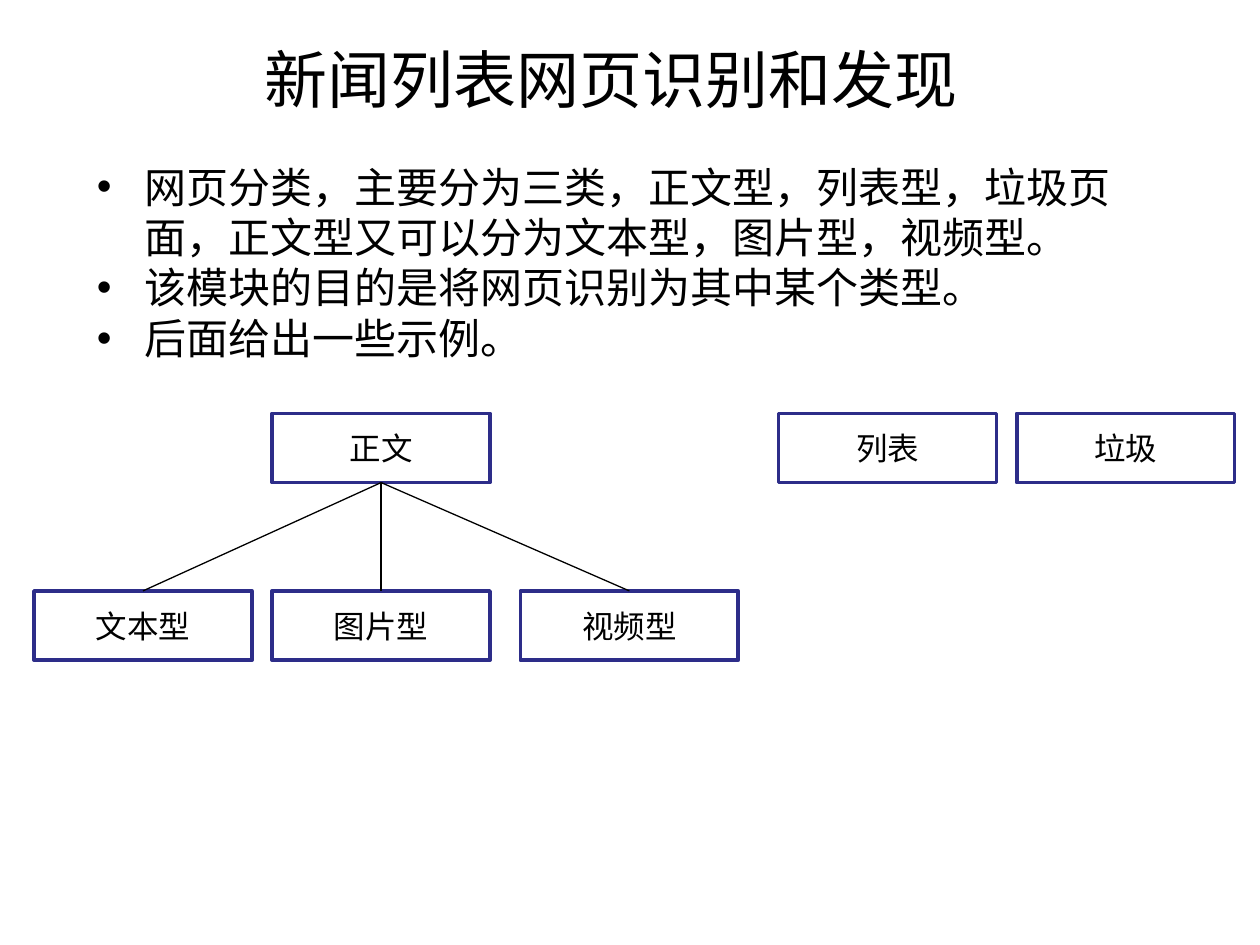
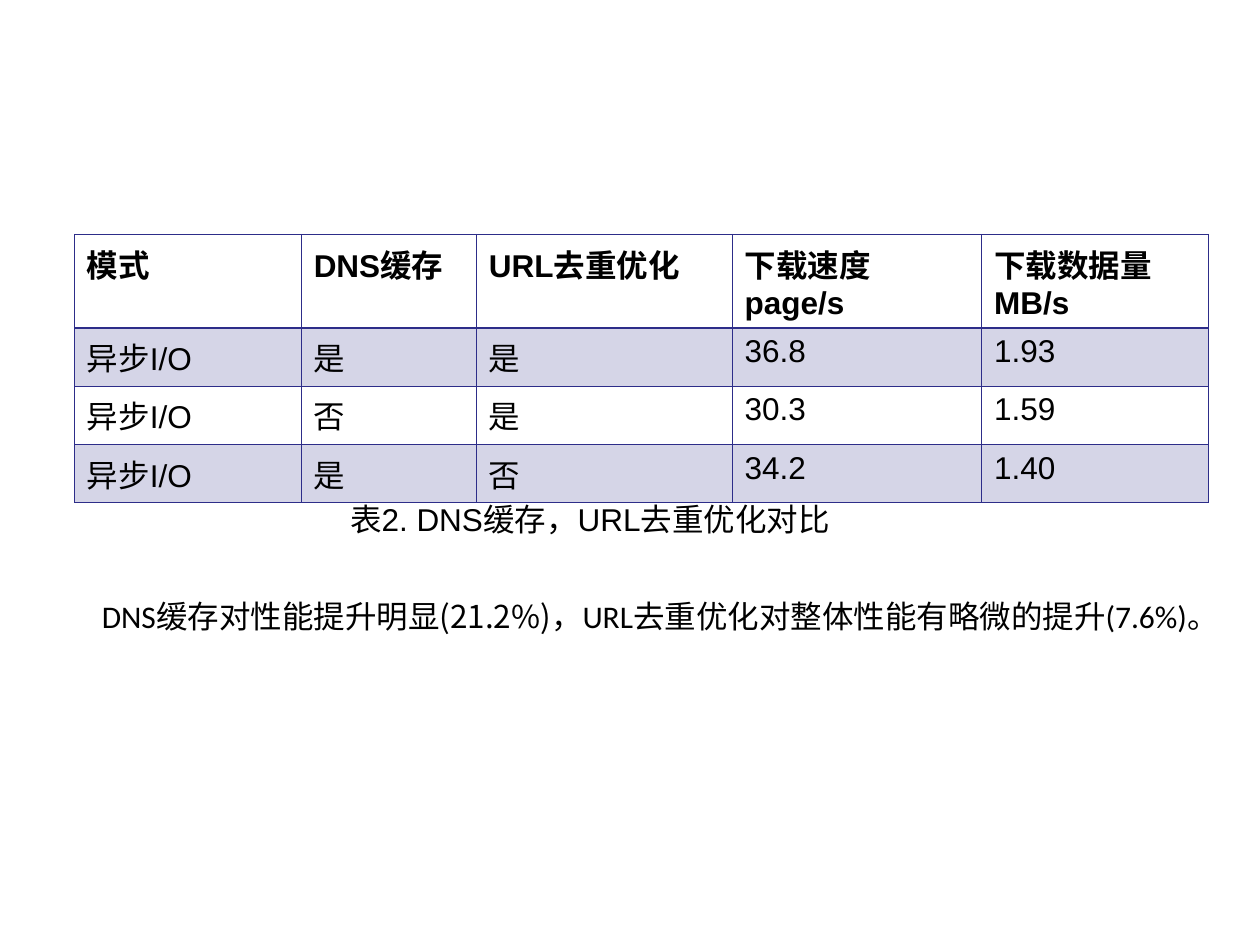
from lxml.etree import SubElement
from pptx import Presentation
from pptx.dml.color import RGBColor
from pptx.enum.shapes import MSO_CONNECTOR as Connector, MSO_SHAPE as Shape
from pptx.enum.text import MSO_ANCHOR as Anchor, MSO_AUTO_SIZE as AutoSize, PP_ALIGN as Align
from pptx.oxml.ns import qn
from pptx.util import Inches, Pt

INK, NAVY, WHITE = "000000", "2D2D89", "FFFFFF"
LATIN, ROUNDED, CJK = "Arial", "Calibri", "Noto Sans CJK SC"
BODY_SIZE = 18
NODE_WIDTH, NODE_HEIGHT = 1.73, 0.55


def rgb(color):
    return RGBColor.from_string(color)


def inches(box):
    return [Inches(length) for length in box]


def add_run(paragraph, text, size=BODY_SIZE, font=LATIN, bold=False):
    run = paragraph.add_run()
    run.text = text
    run.font.size, run.font.name, run.font.bold = Pt(size), font, bold
    run.font.color.rgb = rgb(INK)
    SubElement(run.font._element, qn("a:ea"), typeface=CJK)


def add_text_frame(slide, box, anchor=Anchor.TOP, wrap=True, grow=True):
    frame = slide.shapes.add_textbox(*inches(box)).text_frame
    frame.word_wrap = wrap
    frame.vertical_anchor = anchor
    frame.auto_size = AutoSize.SHAPE_TO_FIT_TEXT if grow else AutoSize.NONE
    return frame


def add_title(slide, box, text):
    paragraph = add_text_frame(slide, box, Anchor.MIDDLE, grow=False).paragraphs[0]
    paragraph.alignment = Align.CENTER
    add_run(paragraph, text, 36)


def add_bullets(slide, box, points):
    frame = add_text_frame(slide, box)
    for index, point in enumerate(points):
        paragraph = frame.add_paragraph() if index else frame.paragraphs[0]
        properties = paragraph._p.get_or_add_pPr()
        properties.set("marL", str(Inches(0.38)))
        properties.set("indent", str(Inches(-0.38)))
        SubElement(properties, qn("a:buFont"), typeface=LATIN)
        SubElement(properties, qn("a:buChar"), char="•")
        add_run(paragraph, point, 24)


def add_node(slide, left, top, label):
    node = slide.shapes.add_shape(Shape.RECTANGLE, *inches((left, top, NODE_WIDTH, NODE_HEIGHT)))
    node.shadow.inherit = False
    node.fill.solid()
    node.fill.fore_color.rgb = rgb(WHITE)
    node.line.color.rgb = rgb(NAVY)
    node.line.width = Pt(2)
    node.text_frame.vertical_anchor = Anchor.MIDDLE
    paragraph = node.text_frame.paragraphs[0]
    paragraph.alignment = Align.CENTER
    add_run(paragraph, label)
    return node


def add_branch(slide, parent, child):
    """Join the top of the child to the bottom of the parent."""
    branch = slide.shapes.add_connector(Connector.STRAIGHT, 0, 0, 0, 0)
    branch.begin_connect(child, 0)
    branch.end_connect(parent, 2)
    branch.line.color.rgb = rgb(INK)
    branch.line.width = Pt(0.75)
    SubElement(branch._element.spPr, qn("a:effectLst"))


def add_page_type_tree(slide, left, top):
    page_types = {"正文": 1.89, "列表": 5.91, "垃圾": 7.8}
    article_types = {"文本型": 0, "图片型": 1.89, "视频型": 3.86}
    parents = [add_node(slide, left + x, top, label) for label, x in page_types.items()]
    children = [add_node(slide, left + x, top + 1.41, label) for label, x in article_types.items()]
    for child in children:
        add_branch(slide, parents[0], child)


def set_borders(cell, widths):
    """Draw the left, right, top and bottom edges, in that order."""
    properties = cell._tc.get_or_add_tcPr()
    for index, (side, width) in enumerate(zip("LRTB", widths)):
        edge = properties.makeelement(qn(f"a:ln{side}"), {"w": str(Pt(width))})
        SubElement(SubElement(edge, qn("a:solidFill")), qn("a:srgbClr"), val=NAVY)
        properties.insert(index, edge)


def fill_cell(cell, tinted):
    if not tinted:
        cell.fill.background()
        return
    cell.fill.solid()
    cell.fill.fore_color.rgb = rgb(NAVY)
    color = cell._tc.tcPr.find(f".//{qn('a:srgbClr')}")
    SubElement(color, qn("a:alpha"), val="20000")


def add_speed_table(slide, left, top, rows):
    column_widths = [1.8, 1.39, 2.03, 1.98, 1.8]
    row_heights = [0.7] + [0.42] * (len(rows) - 1)
    box = left, top, sum(column_widths), sum(row_heights)
    table = slide.shapes.add_table(len(rows), len(column_widths), *inches(box)).table
    table.horz_banding = table.first_row = False
    for column, width in zip(table.columns, column_widths):
        column.width = Inches(width)
    for r, (values, height) in enumerate(zip(rows, row_heights)):
        table.rows[r].height = Inches(height)
        for c, value in enumerate(values):
            cell = table.cell(r, c)
            add_run(cell.text_frame.paragraphs[0], value, bold=r == 0)
            fill_cell(cell, tinted=r % 2 == 1)
            set_borders(cell, (0.45, 0.45, 0.96 if r == 1 else 0.45, 0.96 if r == 0 else 0.45))


def add_conclusion(slide, box, parts):
    paragraph = add_text_frame(slide, box, wrap=False).paragraphs[0]
    for text, font in parts:
        add_run(paragraph, text, font=font)


def build_recognition_slide(slide):
    add_title(slide, (0.35, 0, 9, 1.25), "新闻列表网页识别和发现")
    add_bullets(slide, (0.67, 1.23, 8.45, 1.7), [
        "网页分类，主要分为三类，正文型，列表型，垃圾页面，正文型又可以分为文本型，图片型，视频型。",
        "该模块的目的是将网页识别为其中某个类型。",
        "后面给出一些示例。",
    ])
    add_page_type_tree(slide, 0.27, 3.28)


def build_comparison_slide(slide):
    add_speed_table(slide, 0.59, 1.86, [
        ("模式", "DNS缓存", "URL去重优化", "下载速度 page/s", "下载数据量 MB/s"),
        ("异步I/O", "是", "是", "36.8", "1.93"),
        ("异步I/O", "否", "是", "30.3", "1.59"),
        ("异步I/O", "是", "否", "34.2", "1.40"),
    ])
    add_conclusion(slide, (0.71, 4.69, 9.45, 0.4), [
        ("DNS", ROUNDED),
        ("缓存对性能提升明显(21.2%)，", CJK),
        ("URL", ROUNDED),
        ("去重优化对整体性能有略微的提升", CJK),
        ("(7.6%)", ROUNDED),
        ("。", CJK),
    ])
    caption = add_text_frame(slide, (2.68, 3.92, 4.36, 0.4))
    add_run(caption.paragraphs[0], "表2. DNS缓存，URL去重优化对比")


def main():
    deck = Presentation()
    deck.slide_width, deck.slide_height = Inches(10), Inches(7.5)
    for build in (build_recognition_slide, build_comparison_slide):
        build(deck.slides.add_slide(deck.slide_layouts[6]))
    deck.save("out.pptx")


if __name__ == "__main__":
    main()
